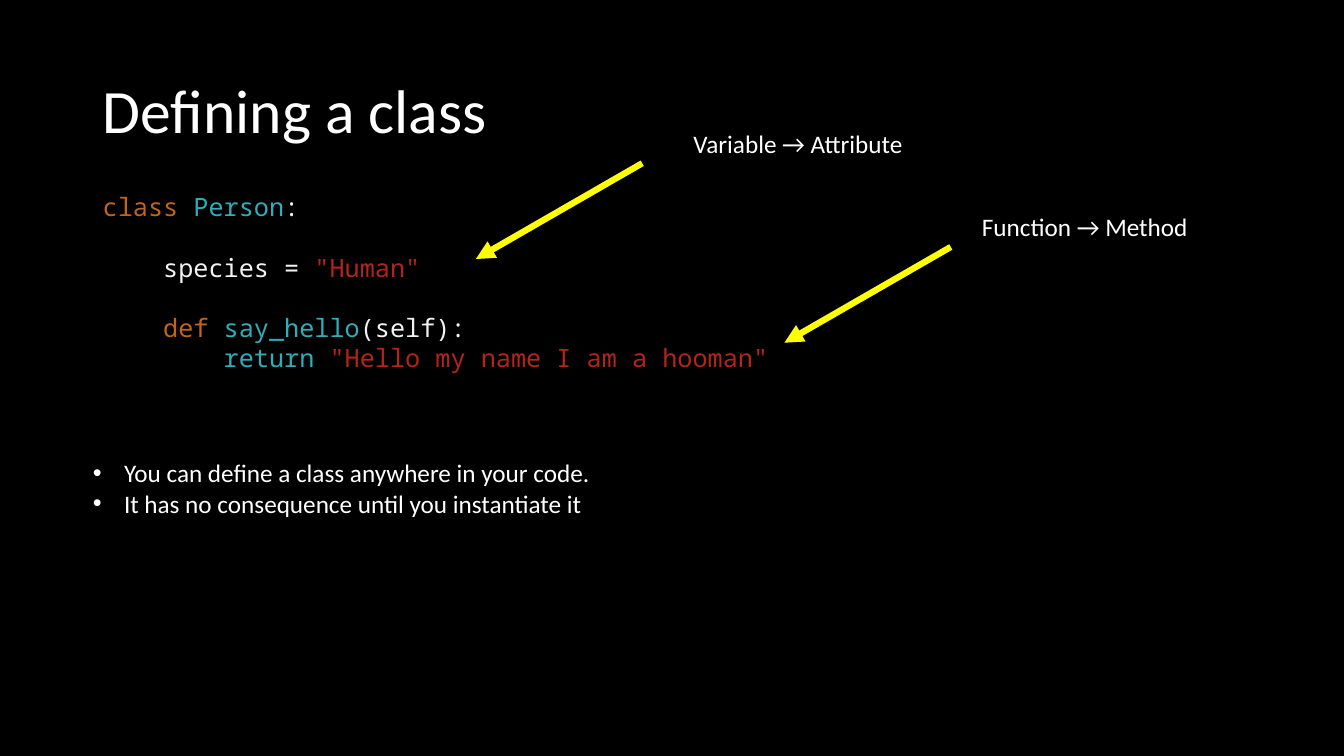
from lxml.etree import SubElement
from pptx import Presentation
from pptx.dml.color import RGBColor
from pptx.enum.shapes import MSO_CONNECTOR
from pptx.enum.text import MSO_ANCHOR, MSO_AUTO_SIZE, PP_ALIGN
from pptx.oxml.ns import qn
from pptx.util import Inches, Pt

HUES = {"back": "000000", "white": "FFFFFF", "code": "F2F2F2", "key": "C1651C",
        "name": "2EAEBB", "text": "B42419", "arrow": "FFFF00"}
CODE = [
    (0, 0, [("class ", "key"), ("Person", "name"), (":", "code")]),
    (1, 1, [("species = ", "code"), ('"Human"', "text")]),
    (1, 1, [("def ", "key"), ("say_hello", "name"), ("(self):", "code")]),
    (2, 0, [("return ", "name"), ('"Hello my name I am a hooman"', "text")]),
]
POINTS = ["You can define a class anywhere in your code.",
          "It has no consequence until you instantiate it"]
NOTES = [("Variable → Attribute", (6.78, 1.22, 2.53, 0.4), (6.37, 1.62)),
         ("Function → Method", (9.64, 2.05, 2.29, 0.4), (9.43, 2.45))]


class Deck:
    """Holds the style and the current slide, and draws each kind of element."""

    font, mono, size = "Calibri", "Noto Sans Mono", 18
    pitch, step = 21.6, 0.6
    reach = (-1.65, 0.95)

    def __init__(self):
        self.file = Presentation()
        self.apply(self.file, slide_width=Inches(13.33), slide_height=Inches(7.5))
        self.slide = self.file.slides.add_slide(self.file.slide_layouts[1])
        fill = self.slide.background.fill
        fill.solid()
        fill.fore_color.rgb = self.hue("back")

    def hue(self, name):
        return RGBColor.from_string(HUES[name])

    def apply(self, item, **form):
        for key, value in form.items():
            setattr(item, key, value)

    def place(self, shape, box, anchor=MSO_ANCHOR.TOP):
        sides = ("left", "top", "width", "height")
        self.apply(shape, **dict(zip(sides, map(Inches, box))))
        frame = shape.text_frame
        self.apply(frame, word_wrap=True, auto_size=MSO_AUTO_SIZE.NONE,
                   vertical_anchor=anchor)
        return frame

    def box(self, box):
        shape = self.slide.shapes.add_textbox(*map(Inches, box))
        return self.place(shape, box)

    def words(self, para, text, hue="white", font=font, size=size):
        run = para.add_run()
        run.text = text
        self.apply(run.font, name=font, size=Pt(size))
        run.font.color.rgb = self.hue(hue)

    def lines(self, frame, items):
        for i, item in enumerate(items):
            yield (frame.add_paragraph() if i else frame.paragraphs[0]), item

    def title(self, text, box):
        para = self.place(self.slide.shapes.title, box, MSO_ANCHOR.MIDDLE).paragraphs[0]
        self.apply(para, alignment=PP_ALIGN.LEFT, line_spacing=0.9)
        self.words(para, text, size=44)

    def code(self, rows, box):
        for para, (depth, gap, parts) in self.lines(self.box(box), rows):
            self.apply(para, line_spacing=Pt(self.pitch),
                       space_before=Pt(gap * self.pitch))
            para._p.get_or_add_pPr().set("marL", str(Inches(depth * self.step)))
            for text, hue in parts:
                self.words(para, text, hue, self.mono)

    def points(self, items, box):
        frame = self.place(self.slide.placeholders[1], box)
        for para, text in self.lines(frame, items):
            self.apply(para, space_before=Pt(0))
            props = para._p.get_or_add_pPr()
            props.set("marL", str(Inches(0.31)))
            props.set("indent", str(Inches(-0.31)))
            SubElement(props, qn("a:buFont"), typeface="Arial")
            SubElement(props, qn("a:buChar"), char="•")
            self.words(para, text)

    def note(self, text, box, start):
        self.words(self.box(box).paragraphs[0], text)
        end = [a + b for a, b in zip(start, self.reach)]
        arrow = self.slide.shapes.add_connector(
            MSO_CONNECTOR.STRAIGHT, *map(Inches, (*start, *end)))
        arrow.line.width = Pt(4.5)
        arrow.line.color.rgb = self.hue("arrow")
        SubElement(arrow.line._get_or_add_ln(), qn("a:tailEnd"), type="triangle")
        SubElement(arrow._element.spPr, qn("a:effectLst"))


def main():
    deck = Deck()
    deck.title("Defining a class", (0.92, 0.4, 11.5, 1.45))
    deck.code(CODE, (0.92, 1.85, 8.72, 1.92))
    deck.points(POINTS, (0.82, 4.49, 5.2, 1.01))
    for note in NOTES:
        deck.note(*note)
    deck.file.save("out.pptx")


if __name__ == "__main__":
    main()
